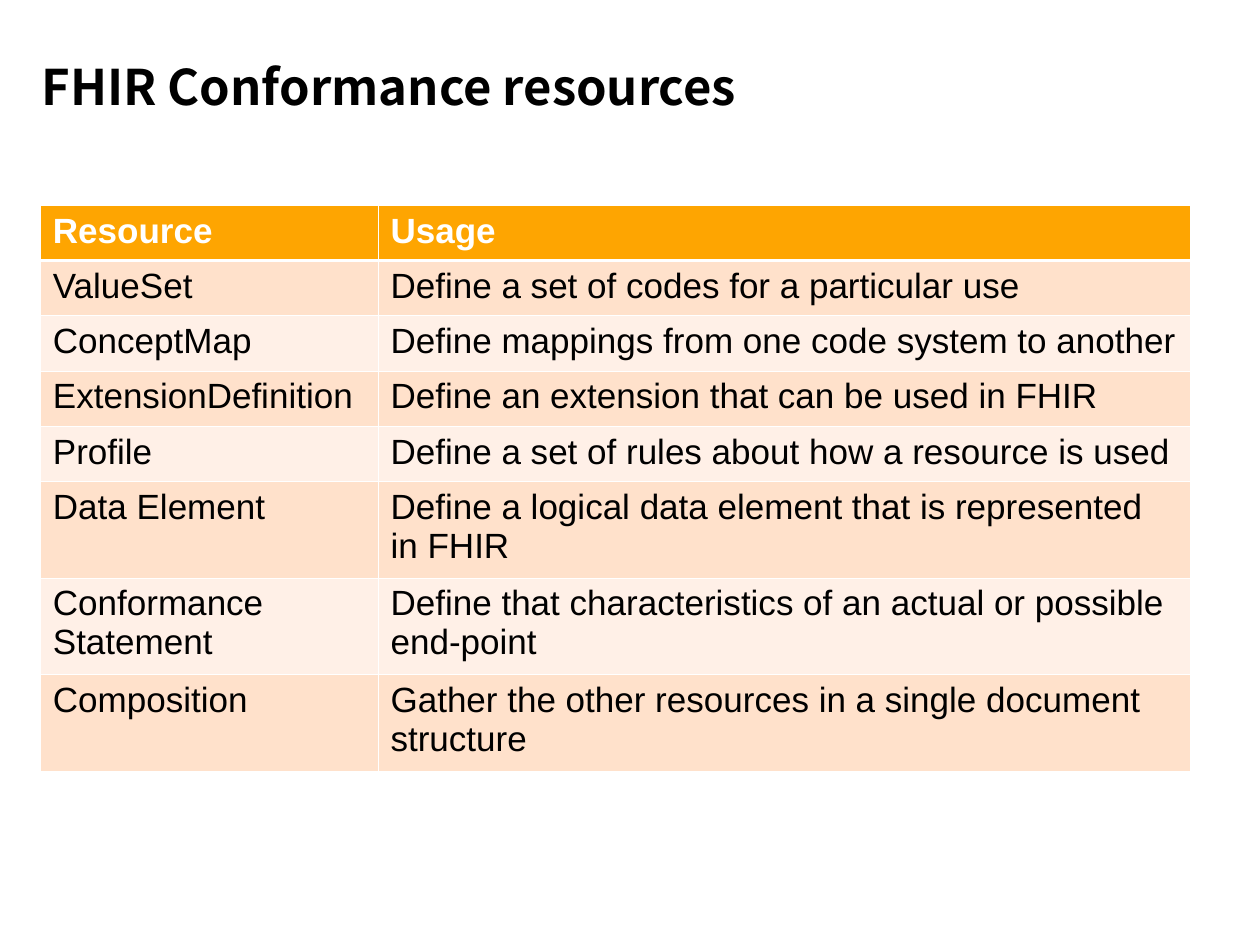
from lxml import etree
from pptx import Presentation
from pptx.dml.color import RGBColor
from pptx.enum.text import MSO_ANCHOR
from pptx.oxml.ns import qn
from pptx.util import Inches, Pt

TOP = MSO_ANCHOR.TOP
BLACK = RGBColor(0x00, 0x00, 0x00)
WHITE = RGBColor(0xFF, 0xFF, 0xFF)
ORANGE = RGBColor(0xFE, 0xA5, 0x01)
PEACH = RGBColor(0xFF, 0xE1, 0xCB)
PALE_PEACH = RGBColor(0xFF, 0xF0, 0xE7)

TITLE_FONT = "Noto Sans CJK KR"
BODY_FONT = "Arial"
THIN, THICK = Pt(0.45), Pt(1.47)

COL_SHARES = (2.68, 6.45)
ROW_SHARES = (0.44,) * 5 + (0.77,) * 3
RESOURCES = [
    ("Resource", "Usage"),
    ("ValueSet", "Define a set of codes for a particular use"),
    ("ConceptMap", "Define mappings from one code system to another"),
    ("ExtensionDefinition", "Define an extension that can be used in FHIR"),
    ("Profile", "Define a set of rules about how a resource is used"),
    ("Data Element", "Define a logical data element that is represented in FHIR"),
    ("Conformance Statement",
     "Define that characteristics of an actual or possible end-point"),
    ("Composition", "Gather the other resources in a single document structure"),
]


def add_run(p, text, font, size, color, bold):
    r = p.add_run()
    r.text = text
    r.font.name = font
    r.font.size = Pt(size)
    r.font.bold = bold
    r.font.color.rgb = color
    # East Asian face matters when the named font is a CJK one.
    etree.SubElement(r.font._element, qn("a:ea"), typeface=font)


def add_title(s, text, left, top, width, height):
    tf = s.shapes.add_textbox(left, top, width, height).text_frame
    tf.word_wrap = True
    tf.vertical_anchor = TOP
    tf.margin_left = tf.margin_right = 0
    tf.margin_top = tf.margin_bottom = Inches(0.05)
    p = tf.paragraphs[0]
    p.line_spacing = 0.9
    add_run(p, text, TITLE_FONT, 28, BLACK, True)


def set_borders(cell, top, bottom):
    """Draw white borders; they must precede the fill in the cell properties."""
    tc_pr = cell._tc.get_or_add_tcPr()
    edges = {"L": THIN, "R": THIN, "T": top, "B": bottom}
    for edge, width in edges.items():
        ln = etree.SubElement(tc_pr, qn(f"a:ln{edge}"), w=str(int(width)))
        fill = etree.SubElement(ln, qn("a:solidFill"))
        etree.SubElement(fill, qn("a:srgbClr"), val=str(WHITE))


def fill_cell(cell, text, row):
    header = row == 0
    set_borders(cell, THICK if row == 1 else THIN, THICK if header else THIN)
    cell.fill.solid()
    band = PEACH if row % 2 else PALE_PEACH
    cell.fill.fore_color.rgb = ORANGE if header else band
    cell.margin_left = cell.margin_right = Inches(0.1)
    cell.margin_top = cell.margin_bottom = Inches(0.05)
    cell.vertical_anchor = TOP
    add_run(cell.text_frame.paragraphs[0], text, BODY_FONT, 20,
            WHITE if header else BLACK, header)


def add_resource_table(s, left, top, width, height):
    table = s.shapes.add_table(len(RESOURCES), len(COL_SHARES),
                               left, top, width, height).table
    for col, share in zip(table.columns, COL_SHARES):
        col.width = int(width * share / sum(COL_SHARES))
    for row, share in zip(table.rows, ROW_SHARES):
        row.height = int(height * share / sum(ROW_SHARES))
    for i, texts in enumerate(RESOURCES):
        for j, text in enumerate(texts):
            fill_cell(table.cell(i, j), text, i)


def main():
    prs = Presentation()
    prs.slide_width, prs.slide_height = Inches(10), Inches(7.5)
    s = prs.slides.add_slide(prs.slide_layouts[6])
    s.background.fill.solid()
    s.background.fill.fore_color.rgb = WHITE
    add_title(s, "FHIR Conformance resources",
              Inches(0.33), Inches(0.45), Inches(9.32), Inches(0.71))
    add_resource_table(s, Inches(0.32), Inches(1.63), Inches(9.13), Inches(4.49))
    prs.save("out.pptx")


if __name__ == "__main__":
    main()
